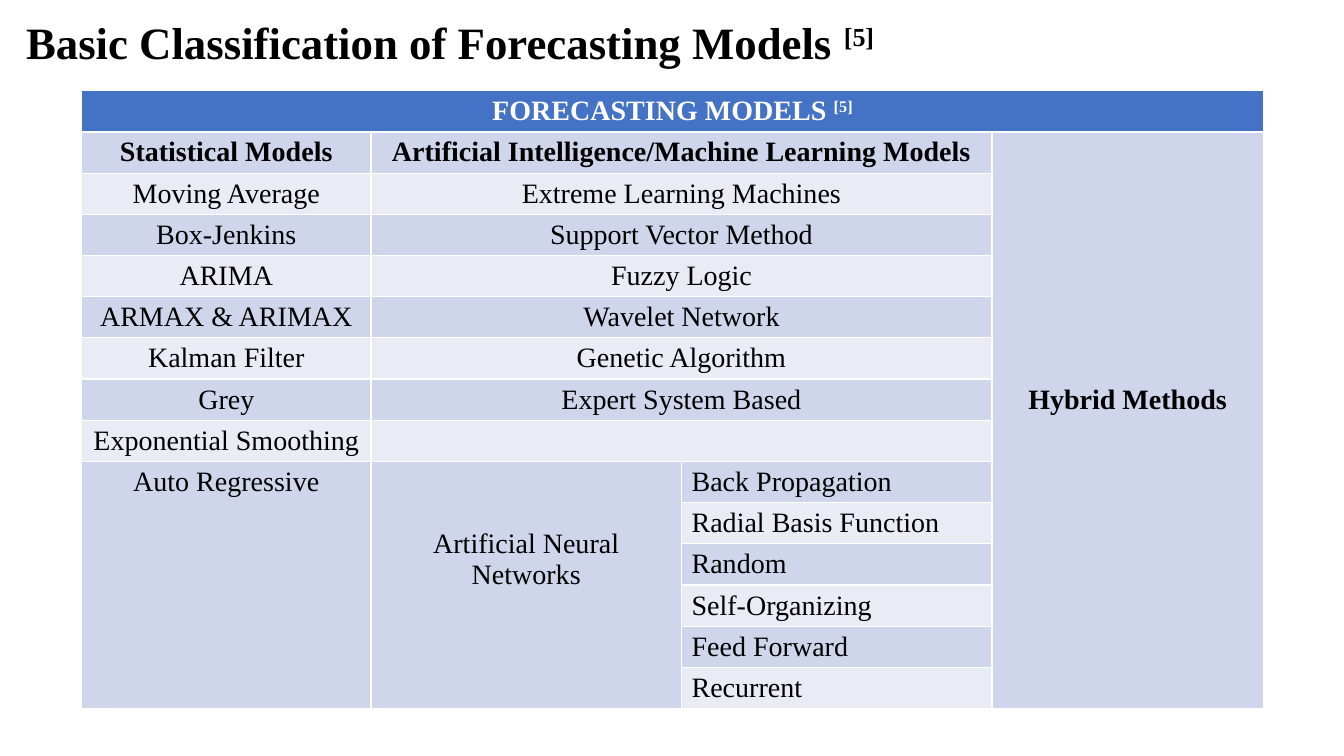
from pptx import Presentation
from pptx import util as u
from pptx.dml.color import RGBColor
from pptx.enum import text


def style(par, size, bold, color, align):
    par.font.name = "Times New Roman"
    par.font.size = u.Pt(size)
    par.font.bold = bold
    par.font.color.rgb = RGBColor.from_string(color)
    par.alignment = align


def cite(par, words):
    par.add_run().text = words
    mark = par.add_run()
    mark.text = "[5]"
    mark._r.get_or_add_rPr().set("baseline", "30000")


LEFT, MID = text.PP_ALIGN.LEFT, text.PP_ALIGN.CENTER

deck = Presentation()
deck.slide_width = u.Inches(13.33)
deck.slide_height = u.Inches(7.5)
slide = deck.slides.add_slide(deck.slide_layouts[6])

stats = ["Statistical Models", "Moving Average", "Box-Jenkins", "ARIMA",
         "ARMAX & ARIMAX", "Kalman Filter", "Grey",
         "Exponential Smoothing", "Auto Regressive"]
smart = ["Artificial Intelligence/Machine Learning Models",
         "Extreme Learning Machines", "Support Vector Method", "Fuzzy Logic",
         "Wavelet Network", "Genetic Algorithm", "Expert System Based",
         "", "Artificial Neural Networks"]
nets = ["Back Propagation", "Radial Basis Function", "Random",
        "Self-Organizing", "Feed Forward", "Recurrent"]

count = len(stats) + len(nets)
grid = slide.shapes.add_table(count, 4, u.Inches(0.81), u.Inches(0.9),
                              u.Inches(11.72), u.Inches(6.12)).table
for col, width in zip(grid.columns, [2.87, 3.08, 3.08, 2.69]):
    col.width = u.Inches(width)

words = {(1, 3): "Hybrid Methods"}
for i, (stat, item) in enumerate(zip(stats, smart), 1):
    words[i, 0] = stat
    words[i, 1] = item
for i, net in enumerate(nets, len(stats)):
    words[i, 2] = net

for row in range(count):
    for col in range(4):
        cell = grid.cell(row, col)
        fill = "4472C4" if row == 0 else ["E9EBF5", "CFD5EA"][row % 2]
        cell.fill.solid()
        cell.fill.fore_color.rgb = RGBColor.from_string(fill)
        par = cell.text_frame.paragraphs[0]
        if (row, col) == (0, 0):
            cite(par, "FORECASTING MODELS ")
        elif words.get((row, col)):
            par.add_run().text = words[row, col]
        style(par, 20, row < 2, "FFFFFF" if row == 0 else "000000",
              LEFT if col == 2 else MID)

grid.cell(0, 0).merge(grid.cell(0, 3))
grid.cell(1, 3).merge(grid.cell(count - 1, 3))
for row in range(1, len(stats)):
    grid.cell(row, 1).merge(grid.cell(row, 2))
for col in range(2):
    grid.cell(len(stats), col).merge(grid.cell(count - 1, col))
grid.cell(1, 3).margin_top = u.Inches(2.51)
grid.cell(len(stats), 1).margin_top = u.Inches(0.66)

box = slide.shapes.add_textbox(u.Inches(0.16), u.Inches(0.1),
                               u.Inches(8.73), u.Inches(0.64))
frame = box.text_frame
frame.word_wrap = False
frame.auto_size = text.MSO_AUTO_SIZE.SHAPE_TO_FIT_TEXT
cite(frame.paragraphs[0], "Basic Classification of Forecasting Models ")
style(frame.paragraphs[0], 32, True, "000000", LEFT)

deck.save("out.pptx")
